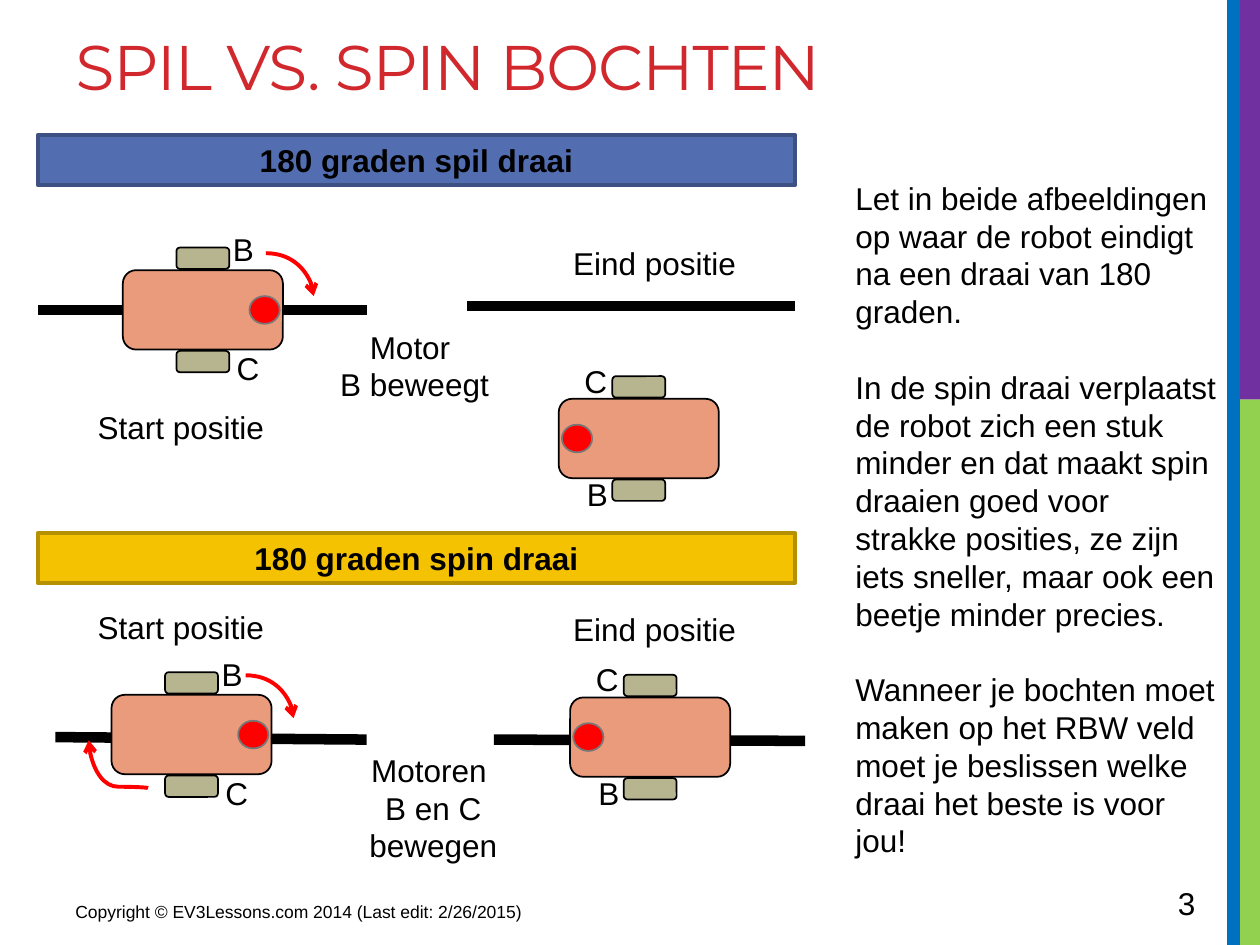
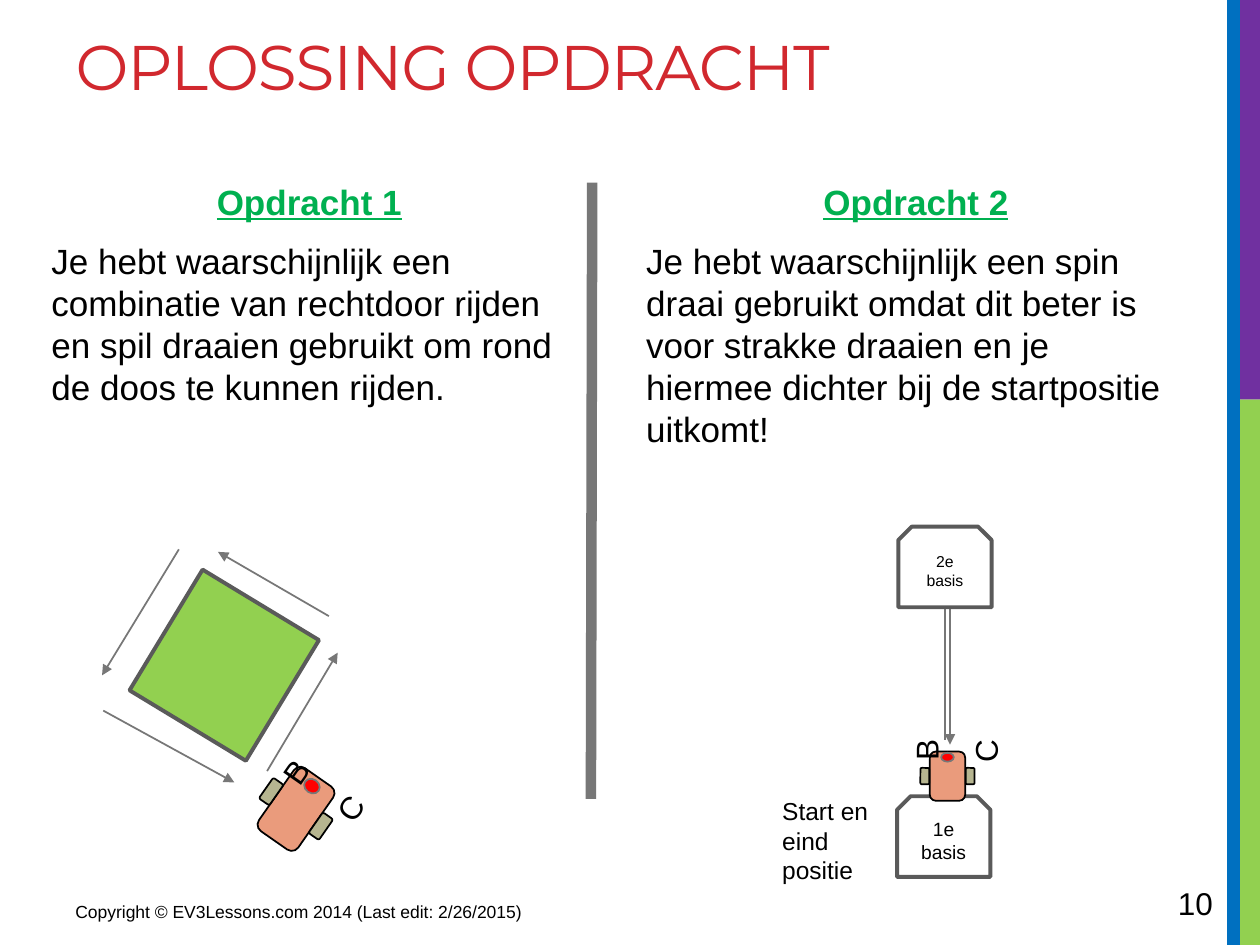
from dataclasses import dataclass
from math import cos, radians, sin

from lxml.etree import SubElement
from pptx import Presentation
from pptx.dml.color import RGBColor
from pptx.enum.shapes import MSO_CONNECTOR, MSO_SHAPE
from pptx.enum.text import MSO_ANCHOR, MSO_AUTO_SIZE, PP_ALIGN
from pptx.oxml.ns import qn
from pptx.util import Inches, Pt


@dataclass(frozen=True)
class Theme:
    body_font: str = "Arial"
    title_font: str = "Montserrat"
    title: str = "D1282E"
    text: str = "000000"
    heading: str = "00B050"
    green: str = "92D050"
    purple: str = "7030A0"
    blue: str = "0070C0"
    robot: str = "EA9B7C"
    wheel: str = "B6B590"
    red: str = "FF0000"
    gray: str = "777777"
    dark_gray: str = "5A5A5A"
    white: str = "FFFFFF"
    spil_banner: tuple = ("526DB0", "3D5182")
    spin_banner: tuple = ("F5C201", "B59001")
    title_size: float = 36
    task_size: float = 20
    text_size: float = 18
    caption_size: float = 14
    footer_size: float = 10


@dataclass(frozen=True)
class RobotSize:
    body: tuple
    wheel: tuple
    sensor: tuple
    wheel_reach: float
    sensor_reach: float
    label: tuple


THEME = Theme()
LARGE = RobotSize((0.63, 1.27), (0.17, 0.42), (0.22, 0.24), 0.41, 0.49, (0.51, 0.32))
MEDIUM = RobotSize((0.38, 0.61), (0.1, 0.2), (0.13, 0.11), 0.24, 0.22, (0.25, 0.19))
SMALL = RobotSize((0.28, 0.39), (0.07, 0.13), (0.1, 0.07), 0.18, 0.15, (0.16, 0.14))
START_LABELS = {"B": (0.14, -0.68), "C": (0.17, 0.26)}
END_LABELS = {"B": (-0.51, 0.24), "C": (-0.53, -0.66)}


def rgb(value):
    return RGBColor.from_string(value)


def format_paragraph(paragraph, size, color=THEME.text, bold=False, align=None, font=THEME.body_font):
    paragraph.alignment = align
    for run in paragraph.runs:
        run.font.name = font
        run.font.size = Pt(size)
        run.font.bold = bold
        run.font.color.rgb = rgb(color)


def add_shape(slide, kind, box, fill, line=None, width=1, rotation=0):
    shape = slide.shapes.add_shape(kind, *map(Inches, box))
    shape.shadow.inherit = False
    shape.rotation = rotation
    shape.fill.solid()
    shape.fill.fore_color.rgb = rgb(fill)
    if line:
        shape.line.color.rgb = rgb(line)
        shape.line.width = Pt(width)
    else:
        shape.line.fill.background()
    return shape


def add_text(slide, box, text, size=THEME.text_size, align=None, grow=True, rotation=0):
    shape = slide.shapes.add_textbox(*map(Inches, box))
    shape.rotation = rotation
    frame = shape.text_frame
    frame.text = text
    frame.word_wrap = True
    if grow:
        frame.auto_size = MSO_AUTO_SIZE.SHAPE_TO_FIT_TEXT
    for paragraph in frame.paragraphs:
        format_paragraph(paragraph, size, align=align)
    return shape


def add_line(slide, start, end, color, width, head=None, kind=MSO_CONNECTOR.STRAIGHT):
    line = slide.shapes.add_connector(kind, *map(Inches, (*start, *end)))
    line.line.color.rgb = rgb(color)
    line.line.width = Pt(width)
    if head:
        SubElement(line.line._get_or_add_ln(), qn("a:tailEnd"), type=head)
    SubElement(line._element.spPr, qn("a:effectLst"))
    return line


def add_turn_arrow(slide, left, top, width, height):
    arrow = add_line(slide, (left, top), (left + width, top + height), THEME.red, 2.25,
                     "arrow", MSO_CONNECTOR.CURVE)
    return arrow._element.spPr


def add_front_arrow(slide, left, top):
    properties = add_turn_arrow(slide, left, top, 0.38, 0.34)
    properties.find(qn("a:prstGeom")).set("prst", "curvedConnector2")


def add_back_arrow(slide, left, top):
    properties = add_turn_arrow(slide, left, top, 0.38, 0.47)
    transform = properties.find(qn("a:xfrm"))
    transform.set("rot", str(270 * 60000))
    transform.set("flipV", "1")
    geometry = properties.find(qn("a:prstGeom"))
    adjustments = geometry.find(qn("a:avLst"))
    if adjustments is None:
        adjustments = SubElement(geometry, qn("a:avLst"))
    SubElement(adjustments, qn("a:gd"), name="adj1", fmla="val 2800")


def add_robot(slide, center, size, angle, labels, label_angle=0):
    x, y = center
    turn = radians(angle)

    def add_part(kind, part, fill, line, right=0, forward=0):
        part_x = x + right * cos(turn) + forward * sin(turn)
        part_y = y + right * sin(turn) - forward * cos(turn)
        width, height = part
        box = (part_x - width / 2, part_y - height / 2, width, height)
        add_shape(slide, kind, box, fill, line, rotation=angle)

    rounded = MSO_SHAPE.ROUNDED_RECTANGLE
    add_part(rounded, size.body, THEME.robot, THEME.text)
    for side in (1, -1):
        add_part(rounded, size.wheel, THEME.wheel, THEME.text, right=side * size.wheel_reach)
    add_part(MSO_SHAPE.OVAL, size.sensor, THEME.red, THEME.gray, forward=size.sensor_reach)
    for letter, (dx, dy) in labels.items():
        add_text(slide, (x + dx, y + dy, *size.label), letter, rotation=label_angle)


def add_frame(presentation, title, number):
    slide = presentation.slides.add_slide(presentation.slide_layouts[5])
    rectangle = MSO_SHAPE.RECTANGLE
    add_shape(slide, rectangle, (9.84, 3.17, 0.16, 4.33), THEME.green)
    add_shape(slide, rectangle, (9.8, 0, 0.2, 3.17), THEME.purple)
    add_shape(slide, rectangle, (9.74, 0, 0.1, 7.5), THEME.blue)
    shape = slide.shapes.title
    shape.left, shape.top, shape.width, shape.height = map(Inches, (0.5, 0.17, 9.02, 1.5))
    frame = shape.text_frame
    frame.text = title
    frame.vertical_anchor = MSO_ANCHOR.TOP
    frame.auto_size = MSO_AUTO_SIZE.NONE
    paragraph = frame.paragraphs[0]
    format_paragraph(paragraph, THEME.title_size, THEME.title,
                     align=PP_ALIGN.LEFT, font=THEME.title_font)
    paragraph.runs[0].font._element.set("spc", "-60")
    add_text(slide, (0.5, 7.1, 3.75, 0.31),
             "Copyright © EV3Lessons.com 2014 (Last edit: 2/26/2015)", THEME.footer_size, grow=False)
    add_text(slide, (9.25, 6.97, 0.69, 0.4), str(number), grow=False)
    return slide


def add_turn_panel(slide, left, top, title, colors, tracks, start, end, captions, motors, arrow):
    def place(point):
        return left + point[0], top + point[1]

    for track_start, track_end in tracks:
        add_line(slide, place(track_start), place(track_end), THEME.text, 6)
    banner = add_shape(slide, MSO_SHAPE.RECTANGLE, (left, top, 6.01, 0.4), *colors, 2.25)
    banner.text_frame.text = title
    format_paragraph(banner.text_frame.paragraphs[0], THEME.text_size, bold=True,
                     align=PP_ALIGN.CENTER)
    add_robot(slide, place(start), LARGE, 90, START_LABELS)
    add_robot(slide, place(end), LARGE, 270, END_LABELS)
    for text, point in zip(("Start positie", "Eind positie"), captions):
        add_text(slide, (*place(point), 1.87, 0.4), text, align=PP_ALIGN.CENTER)
    text, point, height = motors
    add_text(slide, (*place(point), 1.46, height), text, align=PP_ALIGN.CENTER)
    add_front_arrow(slide, *place(arrow))


def add_explanation(slide, box):
    shape = add_text(slide, box, "\n".join((
        "Let in beide afbeeldingen op waar de robot eindigt na een draai van 180 graden.",
        "In de spin draai verplaatst de robot zich een stuk minder en dat maakt spin draaien goed "
        "voor strakke posities, ze zijn iets sneller, maar ook een beetje minder precies.",
        "Wanneer je bochten moet maken op het RBW veld moet je beslissen welke draai het beste is "
        "voor jou!",
    )))
    for paragraph in shape.text_frame.paragraphs[1:]:
        paragraph.space_before = Pt(21.6)


def build_turns_slide(presentation):
    slide = add_frame(presentation, "SPIL VS. SPIN BOCHTEN", 3)
    left, spil_top, spin_top = 0.3, 1.07, 4.23
    add_turn_panel(
        slide, left, spil_top, "180 graden spil draai", THEME.spil_banner,
        tracks=[((0, 1.39), (2.61, 1.39)), ((3.41, 1.36), (6.01, 1.36))],
        start=(1.31, 1.39), end=(4.77, 2.41), captions=[(0.2, 2.12), (3.96, 0.82)],
        motors=("Motor \nB beweegt", (2.26, 1.48), 0.71), arrow=(1.81, 0.94))
    add_turn_panel(
        slide, left, spin_top, "180 graden spin draai", THEME.spin_banner,
        tracks=[((0.14, 1.62), (2.61, 1.64)), ((3.62, 1.64), (6.09, 1.65))],
        start=(1.22, 1.6), end=(4.86, 1.62), captions=[(0.2, 0.55), (3.96, 0.56)],
        motors=("Motoren \nB en C bewegen", (2.41, 1.68), 1.01), arrow=(1.65, 1.13))
    add_back_arrow(slide, left + 0.45, spin_top + 1.6)
    add_explanation(slide, (6.69, 1.37, 3.07, 5.55))


def add_task(slide, box, heading, answer):
    shape = add_text(slide, box, f"{heading}\n{answer}", THEME.task_size, grow=False)
    first, second = shape.text_frame.paragraphs
    format_paragraph(first, THEME.task_size, THEME.heading, True, PP_ALIGN.CENTER)
    first.runs[0].font.underline = True
    first.space_after = second.space_after = Pt(6)
    second.space_before = Pt(4)


def add_box_route(slide, left, top):
    add_shape(slide, MSO_SHAPE.RECTANGLE, (left + 0.41, top + 0.38, 1.12, 1.08),
              THEME.green, THEME.dark_gray, 2.25, 301.2)
    add_robot(slide, (left + 1.54, top + 2.06), MEDIUM, 34.9,
              {"B": (-0.25, -0.4), "C": (0.18, -0.11)}, 304.9)
    arrows = [((0.61, 0), (0, 1)), ((1.8, 0.53), (0.92, 0.02)),
              ((1.31, 1.76), (1.87, 0.82)), ((0.01, 1.28), (1.05, 1.85))]
    for (x1, y1), (x2, y2) in arrows:
        add_line(slide, (left + x1, top + y1), (left + x2, top + y2), THEME.gray, 1, "triangle")


def add_base(slide, left, top, text, size):
    base = add_shape(slide, MSO_SHAPE.SNIP_2_SAME_RECTANGLE, (left, top, 0.74, 0.64),
                     THEME.white, THEME.dark_gray, 2.25)
    base.text_frame.text = text
    base.text_frame.word_wrap = True
    base.text_frame.vertical_anchor = MSO_ANCHOR.MIDDLE
    format_paragraph(base.text_frame.paragraphs[0], size, align=PP_ALIGN.CENTER)


def add_base_route(slide, left, top):
    for x, y1, y2 in ((1.39, 1.69, 0.53), (1.43, 0.64, 1.73)):
        add_line(slide, (left + x, top + y1), (left + x, top + y2), THEME.gray, 1, "triangle")
    add_text(slide, (left, top + 2.09, 1.04, 0.81), "Start en eind positie", THEME.caption_size)
    add_base(slide, left + 1.01, top + 2.14, "1e basis", 11)
    add_robot(slide, (left + 1.41, top + 1.98), SMALL, 0,
              {"B": (-0.38, -0.21), "C": (0.09, -0.2)}, 270)
    add_base(slide, left + 1.02, top, "2e basis", 9)


def build_solution_slide(presentation):
    slide = add_frame(presentation, "OPLOSSING OPDRACHT", 10)
    add_task(slide, (0.31, 1.38, 4.29, 4.78), "Opdracht 1",
             "Je hebt waarschijnlijk een combinatie van rechtdoor rijden en spil draaien gebruikt "
             "om rond de doos te kunnen rijden.")
    add_task(slide, (5.03, 1.38, 4.48, 4.78), "Opdracht 2",
             "Je hebt waarschijnlijk een spin draai gebruikt omdat dit beter is voor strakke "
             "draaien en je hiermee dichter bij de startpositie uitkomt!")
    add_line(slide, (4.69, 6.34), (4.7, 1.45), THEME.gray, 6)
    add_box_route(slide, 0.81, 4.36)
    add_base_route(slide, 6.11, 4.18)


def main():
    presentation = Presentation()
    presentation.slide_width = Inches(10)
    presentation.slide_height = Inches(7.5)
    build_turns_slide(presentation)
    build_solution_slide(presentation)
    presentation.save("out.pptx")


if __name__ == "__main__":
    main()
